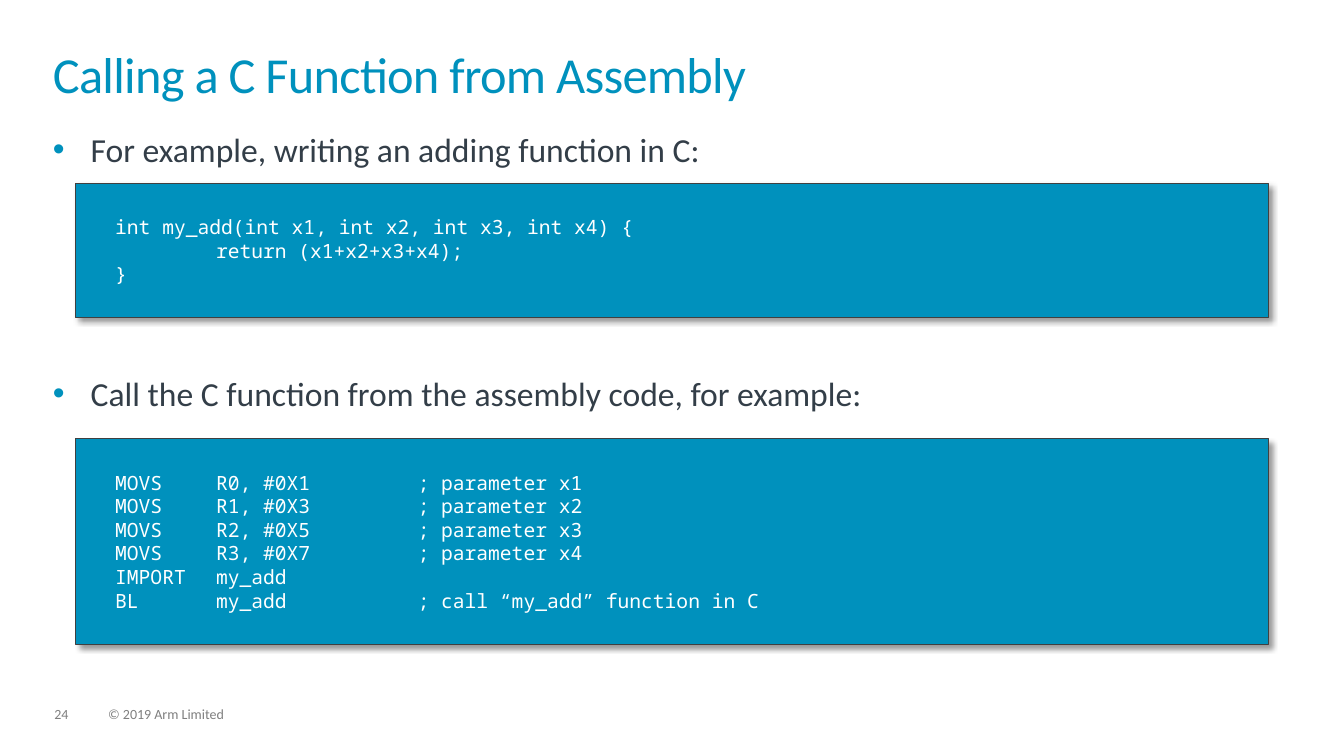
"""Build the slide on calling a C function from assembly."""
import dataclasses

import lxml.etree
import pptx
import pptx.dml.color
import pptx.enum.shapes
import pptx.enum.text
import pptx.oxml.ns
import pptx.util

Pt = pptx.util.Pt
qn = pptx.oxml.ns.qn
RGBColor = pptx.dml.color.RGBColor


@dataclasses.dataclass(frozen=True)
class Theme:
    accent: str = "0091BD"
    body: str = "333E48"
    muted: str = "7F7F7F"
    outline: str = "404040"
    code: str = "FFFFFF"
    shadow: str = "000000"
    sans: str = "Calibri"
    mono: str = "Noto Sans Mono"
    title_size: int = 36
    body_size: int = 24
    code_size: int = 14
    footer_size: int = 10


THEME = Theme()
CODE_LEFT, CODE_WIDTH, CODE_TAB = 54, 852, 72
C_FUNCTION = [
    "int my_add(int x1, int x2, int x3, int x4) {",
    "\treturn (x1+x2+x3+x4);",
    "}",
]
ASSEMBLY = [
    *(f"MOVS\tR{n}, #0X{2 * n + 1}\t\t; parameter x{n + 1}" for n in range(4)),
    "IMPORT\tmy_add",
    "BL\tmy_add\t\t; call “my_add” function in C",
]


def apply(target, formats):
    for name, value in formats.items():
        setattr(target, name, value)


def write_lines(frame, lines, face, size, color, spacing=None):
    for index, line in enumerate(lines):
        paragraph = frame.paragraphs[0] if index == 0 else frame.add_paragraph()
        run = paragraph.add_run()
        run.text = line
        apply(paragraph, {"alignment": pptx.enum.text.PP_ALIGN.LEFT, "line_spacing": spacing})
        apply(run.font, {"name": face, "size": Pt(size)})
        run.font.color.rgb = RGBColor.from_string(color)


def set_margins(frame, left, top, right, bottom):
    apply(frame, {"margin_left": Pt(left), "margin_top": Pt(top),
                  "margin_right": Pt(right), "margin_bottom": Pt(bottom)})


def add_text(slide, box, lines, size, color, spacing=None):
    frame = slide.shapes.add_textbox(*map(Pt, box)).text_frame
    frame.word_wrap = True
    set_margins(frame, 0, 0, 0, 0)
    write_lines(frame, lines, THEME.sans, size, color, spacing)
    return frame


def add_title(slide, title):
    frame = add_text(slide, (37.8, 37.5, 884, 52), [title], THEME.title_size, THEME.accent, 0.85)
    frame.paragraphs[0].runs[0].font._element.set("spc", "-50")


def add_bullets(slide, lines, gap):
    frame = add_text(slide, (37.8, 92, 884, 389.5), lines, THEME.body_size, THEME.body)
    for index, paragraph in enumerate(frame.paragraphs):
        properties = paragraph._p.get_or_add_pPr()
        properties.set("marL", str(Pt(27)))
        properties.set("indent", str(Pt(-27)))
        bullet_color = lxml.etree.SubElement(properties, qn("a:buClr"))
        lxml.etree.SubElement(bullet_color, qn("a:srgbClr"), val=THEME.accent)
        lxml.etree.SubElement(properties, qn("a:buFont"), typeface="Arial")
        lxml.etree.SubElement(properties, qn("a:buChar"), char="•")
        if index:
            paragraph.space_before = Pt(gap)


def add_shadow(panel):
    panel.shadow.inherit = False
    effects = panel._element.spPr.find(qn("a:effectLst"))
    shadow = lxml.etree.SubElement(effects, qn("a:outerShdw"), blurRad=str(Pt(4)),
                                   dist=str(Pt(3)), dir="2700000", algn="tl", rotWithShape="0")
    color = lxml.etree.SubElement(shadow, qn("a:srgbClr"), val=THEME.shadow)
    lxml.etree.SubElement(color, qn("a:alpha"), val="40000")


def set_code_tabs(frame):
    for paragraph in frame.paragraphs:
        stops = lxml.etree.SubElement(paragraph._p.get_or_add_pPr(), qn("a:tabLst"))
        for column in range(1, 4):
            lxml.etree.SubElement(stops, qn("a:tab"), pos=str(Pt(column * CODE_TAB)), algn="l")


def add_code_panel(slide, top, height, lines):
    panel = slide.shapes.add_shape(pptx.enum.shapes.MSO_SHAPE.RECTANGLE, Pt(CODE_LEFT), Pt(top),
                                   Pt(CODE_WIDTH), Pt(height))
    panel.fill.solid()
    panel.fill.fore_color.rgb = RGBColor.from_string(THEME.accent)
    panel.line.color.rgb = RGBColor.from_string(THEME.outline)
    panel.line.width = Pt(1)
    add_shadow(panel)
    frame = panel.text_frame
    apply(frame, {"word_wrap": False, "vertical_anchor": pptx.enum.text.MSO_ANCHOR.MIDDLE})
    set_margins(frame, 28.3, 3.6, 2.9, 3.6)
    write_lines(frame, lines, THEME.mono, THEME.code_size, THEME.code)
    set_code_tabs(frame)


def main():
    deck = pptx.Presentation()
    apply(deck, {"slide_width": Pt(960), "slide_height": Pt(540)})
    slide = deck.slides.add_slide(deck.slide_layouts[6])
    for left, width, text in ((38.9, 24.5, "24"), (77.3, 365, "© 2019 Arm Limited")):
        add_text(slide, (left, 505, width, 11), [text], THEME.footer_size, THEME.muted, 0.9)
    add_title(slide, "Calling a C Function from Assembly")
    add_bullets(slide, ["For example, writing an adding function in C:",
                        "Call the C function from the assembly code, for example:"], gap=145.5)
    add_code_panel(slide, 131, 96, C_FUNCTION)
    add_code_panel(slide, 313.2, 147, ASSEMBLY)
    deck.save("out.pptx")


if __name__ == "__main__":
    main()
